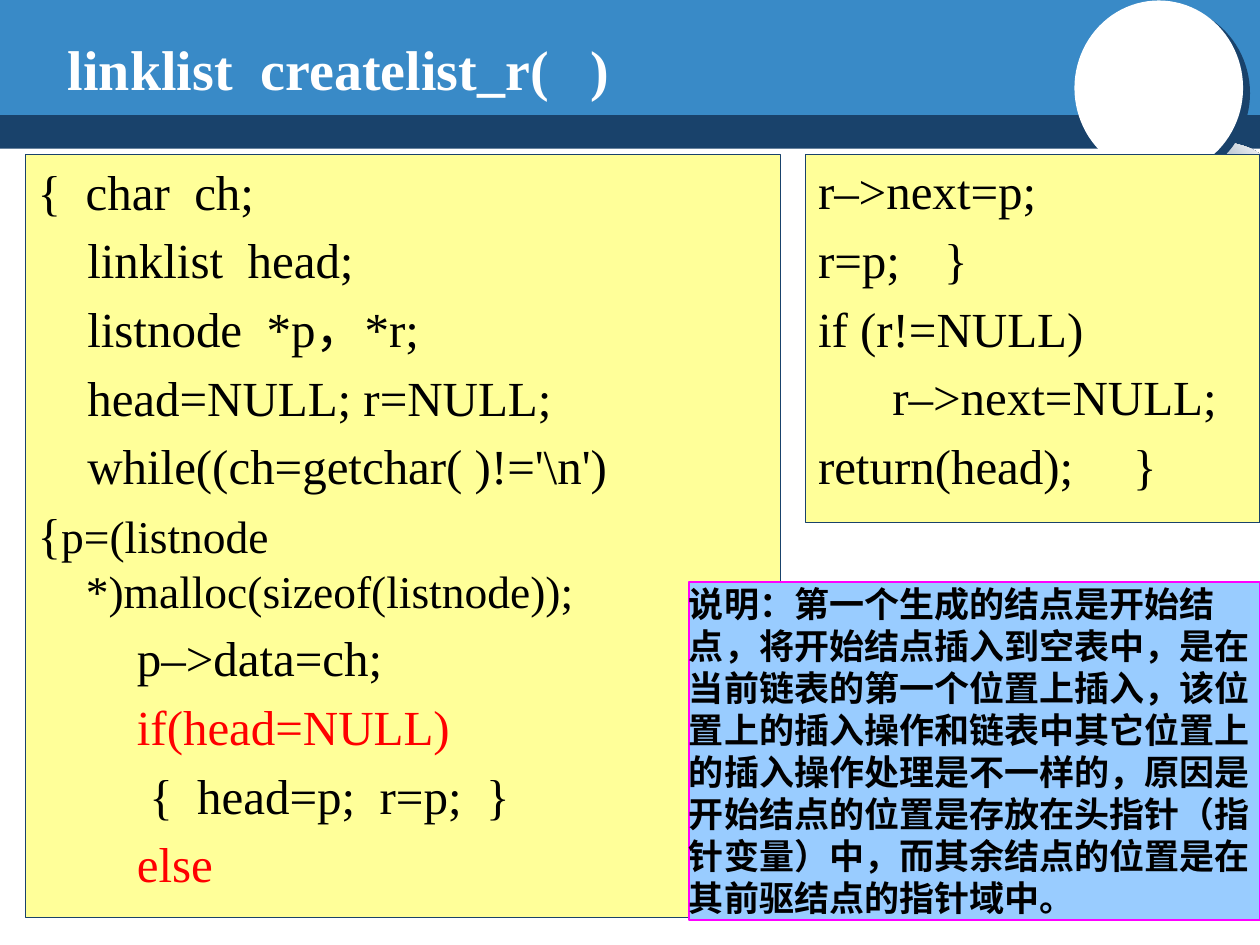
"""Build a slide that lists the code of createlist_r with a note."""
import dataclasses

import pptx
import pptx.dml.color
import pptx.enum.shapes
import pptx.enum.text
import pptx.oxml
import pptx.oxml.ns
import pptx.util

Cm = pptx.util.Cm
Pt = pptx.util.Pt
Kind = pptx.enum.shapes.MSO_SHAPE


@dataclasses.dataclass(frozen=True)
class Theme:
    font: str = "Times New Roman"
    navy: str = "19426B"
    blue: str = "398AC7"
    pale: str = "FFFF99"
    sky: str = "99CCFF"
    pink: str = "FF00FF"
    white: str = "FFFFFF"
    black: str = "000000"
    red: str = "FF0000"
    title: int = 32
    code: int = 28
    small: int = 26
    note: int = 20
    gap: float = 5.6
    space: float = 0.25
    hang: float = 0.97


THEME = Theme()

LEFT = [
    (0, "{  char  ch;"),
    (4, "linklist  head;"),
    (4, "listnode  *p，*r;"),
    (4, "head=NULL; r=NULL;"),
    (4, "while((ch=getchar( )!='\\n')"),
    (0, "{", "p=(listnode *)malloc(sizeof(listnode));"),
    (8, "p–>data=ch;"),
    (8, "if(head=NULL)"),
    (9, "{  head=p;  r=p;  }"),
    (8, "else"),
]
RIGHT = [
    (0, "r–>next=p;"),
    (0, "r=p;\t}"),
    (0, "if (r!=NULL)"),
    (6, "r–>next=NULL;"),
    (0, "return(head);\t}"),
]
RED = {"if(head=NULL)", "else"}
TABS = {"r=p;\t}": 4.76, "return(head);\t}": 7.02}
NOTE = (
    "说明：第一个生成的结点是开始结点，将开始结点插入到空表中，"
    "是在当前链表的第一个位置上插入，该位置上的插入操作和链表中其它位置上的"
    "插入操作处理是不一样的，原因是开始结点的位置是存放在头指针（指针变量）中，"
    "而其余结点的位置是在其前驱结点的指针域中。"
)


def tint(hue):
    return pptx.dml.color.RGBColor.from_string(hue)


def place(shape, box):
    for name, size in zip(("left", "top", "width", "height"), box):
        setattr(shape, name, Cm(size))


def paint(shape, fill, line=None, width=0.75):
    shape.fill.solid()
    shape.fill.fore_color.rgb = tint(fill)
    if line:
        shape.line.color.rgb = tint(line)
        shape.line.width = Pt(width)
    else:
        shape.line.fill.background()


def draw(slide, kind, box, fill, line=None, width=0.75):
    shape = slide.shapes.add_shape(kind, *map(Cm, box))
    shape.shadow.inherit = False
    paint(shape, fill, line, width)
    return shape


def frame(shape, pads, wrap=True):
    text = shape.text_frame
    form = {
        "word_wrap": wrap,
        "auto_size": pptx.enum.text.MSO_AUTO_SIZE.NONE,
        "vertical_anchor": pptx.enum.text.MSO_ANCHOR.TOP,
    }
    sides = ("margin_left", "margin_top", "margin_right", "margin_bottom")
    form.update(zip(sides, map(Cm, pads)))
    for name, value in form.items():
        setattr(text, name, value)
    return text


def write(para, words, size, hue, bold=False):
    run = para.add_run()
    run.text = words
    form = {"name": THEME.font, "size": Pt(size), "bold": bold}
    for name, value in form.items():
        setattr(run.font, name, value)
    run.font.color.rgb = tint(hue)
    para.alignment = pptx.enum.text.PP_ALIGN.LEFT


def add_node(parent, tag, **values):
    node = pptx.oxml.ns.qn(tag)
    child = parent.makeelement(node, {key: str(val) for key, val in values.items()})
    parent.append(child)
    return child


def indent(para, spaces, tab):
    props = para._p.get_or_add_pPr()
    left = spaces * THEME.space or (0 if tab else THEME.hang)
    first = 0 if spaces or tab else -THEME.hang
    props.set("marL", str(Cm(left)))
    props.set("indent", str(Cm(first)))
    add_node(props, "a:buNone")
    if tab:
        stops = add_node(props, "a:tabLst")
        add_node(stops, "a:tab", pos=Cm(tab), algn="l")


def fill_code(shape, box, lines):
    place(shape, box)
    paint(shape, THEME.pale, THEME.navy)
    text = frame(shape, (0.25, 0.13, 0.5, 0.13))
    for row, (spaces, words, *rest) in enumerate(lines):
        para = text.add_paragraph() if row else text.paragraphs[0]
        para.space_before = Pt(THEME.gap if row else 0)
        indent(para, spaces, TABS.get(words))
        write(para, words, THEME.code, THEME.red if words in RED else THEME.black)
        for more in rest:
            write(para, more, THEME.small, THEME.black)


def draw_band(slide):
    draw(slide, Kind.RECTANGLE, (0, 2.13, 25.4, 0.87), THEME.navy)
    draw(slide, Kind.RECTANGLE, (0, 0, 25.4, 2.32), THEME.blue)
    glow = draw(slide, Kind.OVAL, (22.81, 2.82, 2.67, 0.89), THEME.navy)
    glow.fill.gradient()
    glow.fill.gradient_angle = 45
    for stop, hue, spot in zip(glow.fill.gradient_stops, (THEME.navy, THEME.white), (0, 1)):
        stop.color.rgb = tint(hue)
        stop.position = spot
    disc = draw(slide, Kind.OVAL, (21.66, 0.01, 3.4, 3.53), THEME.white)
    effects = disc._element.spPr.find(pptx.oxml.ns.qn("a:effectLst"))
    shade = add_node(effects, "a:outerShdw", blurRad=0, dist=Pt(5), dir=37 * 60000, algn="ctr", rotWithShape=0)
    add_node(shade, "a:srgbClr", val=THEME.navy)
    draw(slide, Kind.OVAL, (22.78, 1.24, 1.19, 1.22), THEME.white)


def fill_title(shape):
    place(shape, (1.12, 0.56, 11.46, 1.6))
    text = frame(shape, (0.25, 0.13, 0.25, 0.13), wrap=False)
    write(text.paragraphs[0], "linklist  createlist_r(   )", THEME.title, THEME.white, True)


def draw_note(slide):
    note = draw(slide, Kind.RECTANGLE, (13.89, 11.74, 11.51, 6.81), THEME.sky, THEME.pink, 1)
    para = frame(note, (0, 0, 0, 0)).paragraphs[0]
    write(para, NOTE, THEME.note, THEME.black, True)
    para._p.get_or_add_pPr().set("hangingPunct", "0")


def main():
    deck = pptx.Presentation()
    deck.slide_width, deck.slide_height = Cm(25.4), Cm(19.05)
    slide = deck.slides.add_slide(deck.slide_layouts[3])
    title, left, right = slide.placeholders
    draw_band(slide)
    for shape in (left, right, title):
        slide.shapes._spTree.append(shape._element)
    fill_code(left, (0.51, 3.12, 15.22, 15.37), LEFT)
    fill_code(right, (16.24, 3.11, 9.16, 7.42), RIGHT)
    fill_title(title)
    draw_note(slide)
    deck.save("out.pptx")


if __name__ == "__main__":
    main()
